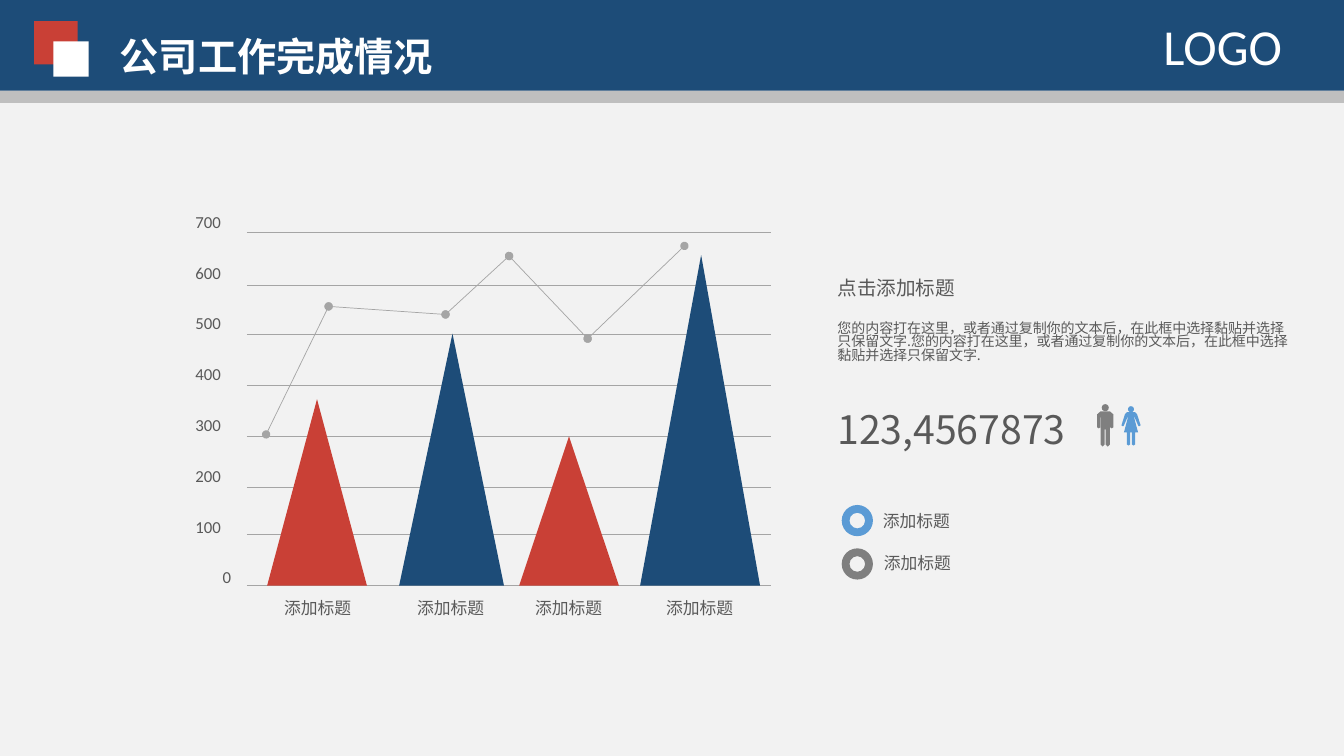
from lxml.etree import SubElement
from pptx import Presentation
from pptx.dml.color import RGBColor
from pptx.enum.shapes import MSO_CONNECTOR as LINE, MSO_SHAPE as SHAPE
from pptx.enum.text import MSO_AUTO_SIZE as AUTO
from pptx.oxml.ns import qn
from pptx.util import Inches, Pt

COLS, ROWS = 133.33, 75
CELL = Inches(0.1)
NAVY, RED, SKY = "1D4C78", "C94036", "5B9BD5"
WHITE, PAPER, SILVER = "FFFFFF", "F2F2F2", "BFBFBF"
RULE, GREY, INK = "A5A5A5", "7F7F7F", "595959"
LATIN, CJK = "Calibri", "Noto Sans CJK SC"


def grid(*cells):
    return [round(c * CELL) for c in cells]


def rgb(color):
    return RGBColor.from_string(color)


def paint(sp, color):
    sp.shadow.inherit = False
    sp.fill.solid()
    sp.fill.fore_color.rgb = rgb(color)
    sp.line.fill.background()


def add_block(shapes, kind, x, y, w, h, color):
    sp = shapes.add_shape(kind, *grid(x, y, w, h))
    paint(sp, color)
    return sp


def add_text(slide, x, y, w, h, text, size, font=CJK, color=INK,
             bold=False, wrap=False, spacing=None):
    tf = slide.shapes.add_textbox(*grid(x, y, w, h)).text_frame
    tf.word_wrap = wrap
    tf.auto_size = AUTO.SHAPE_TO_FIT_TEXT
    tf.text = text
    for p in tf.paragraphs:
        if spacing:
            p.line_spacing = spacing
        for r in p.runs:
            r.font.size = Pt(size)
            r.font.name = font
            r.font.bold = bold
            r.font.color.rgb = rgb(color)
            SubElement(r.font._element, qn("a:ea")).set("typeface", font)


def add_line(slide, x1, y1, x2, y2, dots=False):
    cn = slide.shapes.add_connector(LINE.STRAIGHT, *grid(x1, y1, x2, y2))
    cn.line.width = Pt(0.5)
    cn.line.color.rgb = rgb(RULE)
    if dots:
        ln = cn.line._get_or_add_ln()
        for end in ("a:headEnd", "a:tailEnd"):
            SubElement(ln, qn(end)).set("type", "oval")
    SubElement(cn._element.spPr, qn("a:effectLst"))


def add_person(slide, x, y, head, half, color):
    shapes = slide.shapes.add_group_shape().shapes
    add_block(shapes, SHAPE.OVAL, x - head / 2, y - head, head, head, color)
    outline = half + [(-dx, dy) for dx, dy in reversed(half)]
    points = [grid(x + dx, y + dy) for dx, dy in outline]
    fb = shapes.build_freeform(*points[0])
    fb.add_line_segments(points[1:], close=True)
    paint(fb.convert_to_shape(), color)


def header(slide, x, y, w, h):
    add_block(slide.shapes, SHAPE.RECTANGLE, x, y + h - 1.2, w, 1.2, SILVER)
    add_block(slide.shapes, SHAPE.RECTANGLE, x, y, w, h - 1.2, NAVY)
    add_block(slide.shapes, SHAPE.RECTANGLE, x + 3.4, y + 2.1, 4.3, 4.3, RED)
    add_block(slide.shapes, SHAPE.RECTANGLE, x + 5.3, y + 4.1, 3.5, 3.5, WHITE)
    add_text(slide, x + 10.9, y + 2.7, 33.1, 5.7, "公司工作完成情况", 28,
             color=WHITE, bold=True)
    add_text(slide, x + w - 18.9, y + 1, 14.5, 7.1, "LOGO", 36, LATIN, WHITE)


def peak_chart(slide, x, y, w, h):
    for dy in (0, 5.2, 10.1, 15.1, 20.2, 25.3, 29.9, h):
        add_line(slide, x, y + dy, x + w, y + dy)
    step = 5.04
    for i in range(8):
        value = 700 - 100 * i
        left, width = (-6.1, 4.5) if value else (-3.4, 2.8)
        add_text(slide, x + left, y - 2.6 + i * step, width, 3,
                 str(value), 12, LATIN)
    peaks = [(2, 9.9, 18.5, 0.5, RED, 2.7), (15.1, 10.4, 25, 0.509, NAVY, 15.9),
             (27, 9.9, 14.8, 0.5, RED, 27.6), (39, 11.9, 32.8, 0.509, NAVY, 40.6)]
    for dx, width, height, tip, color, label in peaks:
        sp = add_block(slide.shapes, SHAPE.ISOSCELES_TRIANGLE,
                       x + dx, y + h - height, width, height, color)
        sp.adjustments[0] = tip
        add_text(slide, x + label, y + h + 0.7, 8.7, 3, "添加标题", 12)
    trend = [(1.9, 20), (8.1, 7.3), (19.7, 8.1), (26, 2.3), (33.8, 10.5), (43.4, 1.3)]
    for (x1, y1), (x2, y2) in zip(trend, trend[1:]):
        add_line(slide, x + x1, y + y1, x + x2, y + y2, dots=True)


def details(slide, x, y, w):
    add_text(slide, x, y, 13.7, 3.4, "点击添加标题", 14)
    body = ["您的内容打在这里，或者通过复制你的文本后，在此框中选择黏贴并选择",
            "只保留文字.您的内容打在这里，或者通过复制你的文本后，在此框中选择",
            "黏贴并选择只保留文字."]
    add_text(slide, x, y + 4.6, w, 7.7, "\n".join(body), 10, wrap=True, spacing=0.81)
    add_text(slide, x, y + 12.8, 25.7, 5.7, "123,4567873", 28)
    man = [(0.45, 0), (0.8, 0.3), (0.8, 1.6), (0.65, 1.7), (0.5, 1.6), (0.5, 0.6),
           (0.45, 0.6), (0.45, 3.3), (0.25, 3.5), (0.05, 3.3), (0.05, 1.8)]
    woman = [(0.4, 0), (0.6, 0.2), (0.95, 1.3), (0.8, 1.4), (0.7, 1.3), (0.35, 0.5),
             (0.3, 0.5), (0.7, 2), (0.4, 2), (0.4, 3.2), (0.25, 3.3), (0.08, 3.2),
             (0.08, 2)]
    add_person(slide, x + 27.55, y + 13.9, 0.7, man, GREY)
    add_person(slide, x + 30.1, y + 14, 0.6, woman, SKY)
    for i, color in enumerate((SKY, GREY)):
        add_block(slide.shapes, SHAPE.DONUT, x + 1.4, y + 23.2 + 4.3 * i, 3.1, 3.1, color)
        add_text(slide, x + 4.5 + 0.1 * i, y + 23.3 + 4.1 * i, 8.7, 3, "添加标题", 12)


def main():
    prs = Presentation()
    prs.slide_width, prs.slide_height = grid(COLS, ROWS)
    slide = prs.slides.add_slide(prs.slide_layouts[6])
    slide.background.fill.solid()
    slide.background.fill.fore_color.rgb = rgb(PAPER)
    header(slide, 0, 0, COLS, 10.2)
    peak_chart(slide, 24.5, 23.1, 52, 35)
    details(slide, 82.1, 26.9, 50)
    prs.save("out.pptx")


if __name__ == "__main__":
    main()
